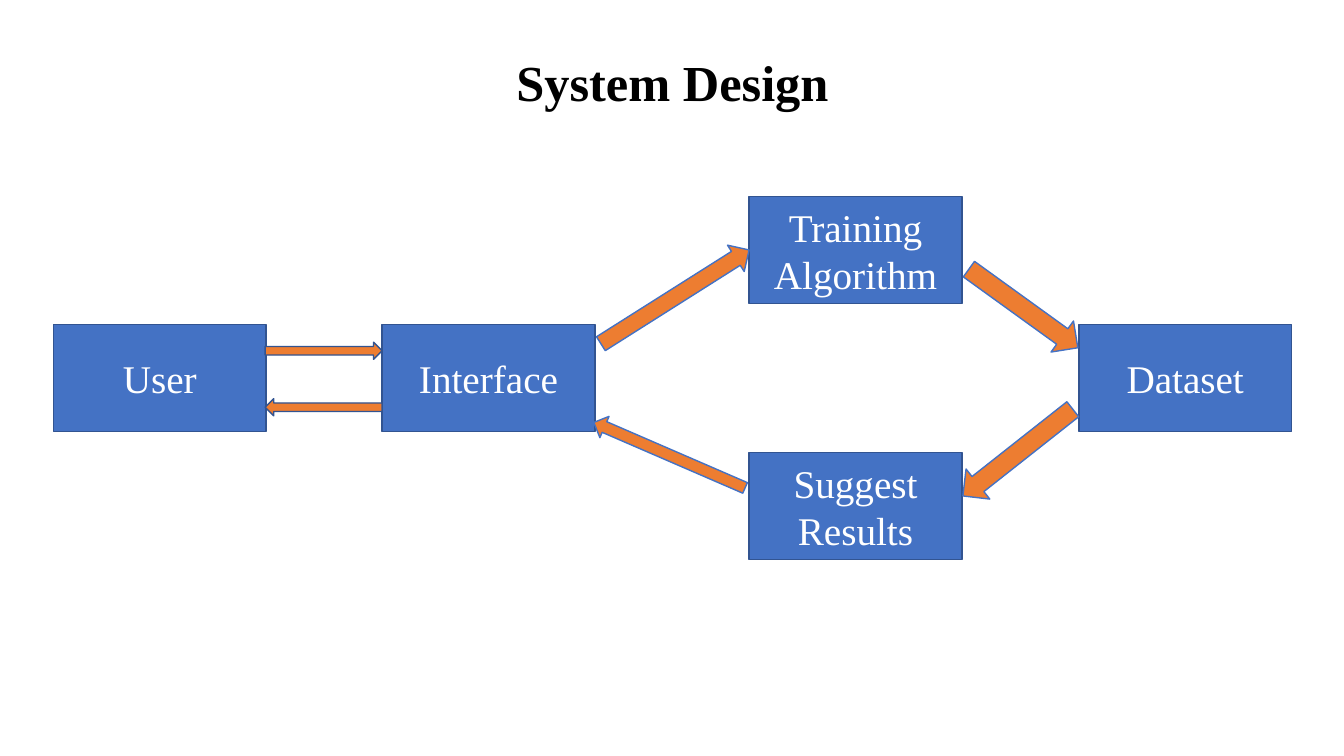
from math import atan2, degrees, hypot

from pptx import Presentation
from pptx.dml.color import RGBColor
from pptx.enum.shapes import MSO_SHAPE
from pptx.enum.text import MSO_ANCHOR, PP_ALIGN
from pptx.util import Inches, Pt

FONT = "Times New Roman"
BLUE, DARK_BLUE, ORANGE = "4472C4", "325491", "ED7D31"
BOX_WIDTH, BOX_HEIGHT = 2.11, 1.06
MIDDLE_ROW, ROW_STEP = 3.22, 1.27

STAGES = [
    ("User", 0.53, MIDDLE_ROW),
    ("Interface", 3.79, MIDDLE_ROW),
    ("Training Algorithm", 7.43, MIDDLE_ROW - ROW_STEP),
    ("Suggest Results", 7.43, MIDDLE_ROW + ROW_STEP),
    ("Dataset", 10.7, MIDDLE_ROW),
]

# tail, tip, thickness, outline, shaft share of the thickness
FLOWS = [
    ((2.63, 3.48), (3.79, 3.48), 0.17, DARK_BLUE, 0.5),
    ((3.79, 4.04), (2.63, 4.04), 0.17, DARK_BLUE, 0.5),
    ((5.96, 3.41), (7.43, 2.48), 0.31, BLUE, 0.525),
    ((9.61, 2.67), (10.69, 3.45), 0.38, BLUE, 0.5),
    ((10.64, 4.06), (9.55, 4.92), 0.38, BLUE, 0.5),
    ((7.39, 4.84), (5.89, 4.19), 0.23, BLUE, 0.5),
]


def color(value):
    return RGBColor.from_string(value)


def write(frame, text, size, text_color, bold=False):
    frame.word_wrap = True
    paragraph = frame.paragraphs[0]
    paragraph.text = text
    paragraph.alignment = PP_ALIGN.CENTER
    font = paragraph.font
    font.name, font.size, font.bold = FONT, Pt(size), bold
    font.color.rgb = color(text_color)


def add_title(slide, text):
    title = slide.shapes.add_textbox(
        Inches(0.92), Inches(0.4), Inches(11.5), Inches(1.45))
    frame = title.text_frame
    frame.vertical_anchor = MSO_ANCHOR.TOP
    frame.margin_top = Inches(0.11)
    write(frame, text, 36, "000000", bold=True)


def add_filled(slide, kind, left, top, width, height, fill, outline):
    shape = slide.shapes.add_shape(
        kind, Inches(left), Inches(top), Inches(width), Inches(height))
    shape.shadow.inherit = False
    shape.fill.solid()
    shape.fill.fore_color.rgb = color(fill)
    shape.line.color.rgb = color(outline)
    shape.line.width = Pt(1)
    return shape


def add_stage(slide, label, left, top):
    stage = add_filled(slide, MSO_SHAPE.RECTANGLE, left, top,
                       BOX_WIDTH, BOX_HEIGHT, BLUE, DARK_BLUE)
    stage.text_frame.vertical_anchor = MSO_ANCHOR.MIDDLE
    write(stage.text_frame, label, 28, "FFFFFF")


def add_flow(slide, tail, tip, thickness, outline, shaft):
    """Turn a block arrow about its centre so that it runs from tail to tip."""
    dx, dy = tip[0] - tail[0], tip[1] - tail[1]
    length = hypot(dx, dy)
    left = (tail[0] + tip[0] - length) / 2
    top = (tail[1] + tip[1] - thickness) / 2
    arrow = add_filled(slide, MSO_SHAPE.RIGHT_ARROW, left, top,
                       length, thickness, ORANGE, outline)
    arrow.rotation = degrees(atan2(dy, dx)) % 360
    arrow.adjustments[0] = shaft


def main():
    prs = Presentation()
    prs.slide_width, prs.slide_height = Inches(13.33), Inches(7.5)
    slide = prs.slides.add_slide(prs.slide_layouts[6])
    add_title(slide, "System Design")
    for stage in STAGES:
        add_stage(slide, *stage)
    for flow in FLOWS:
        add_flow(slide, *flow)
    prs.save("out.pptx")


if __name__ == "__main__":
    main()
